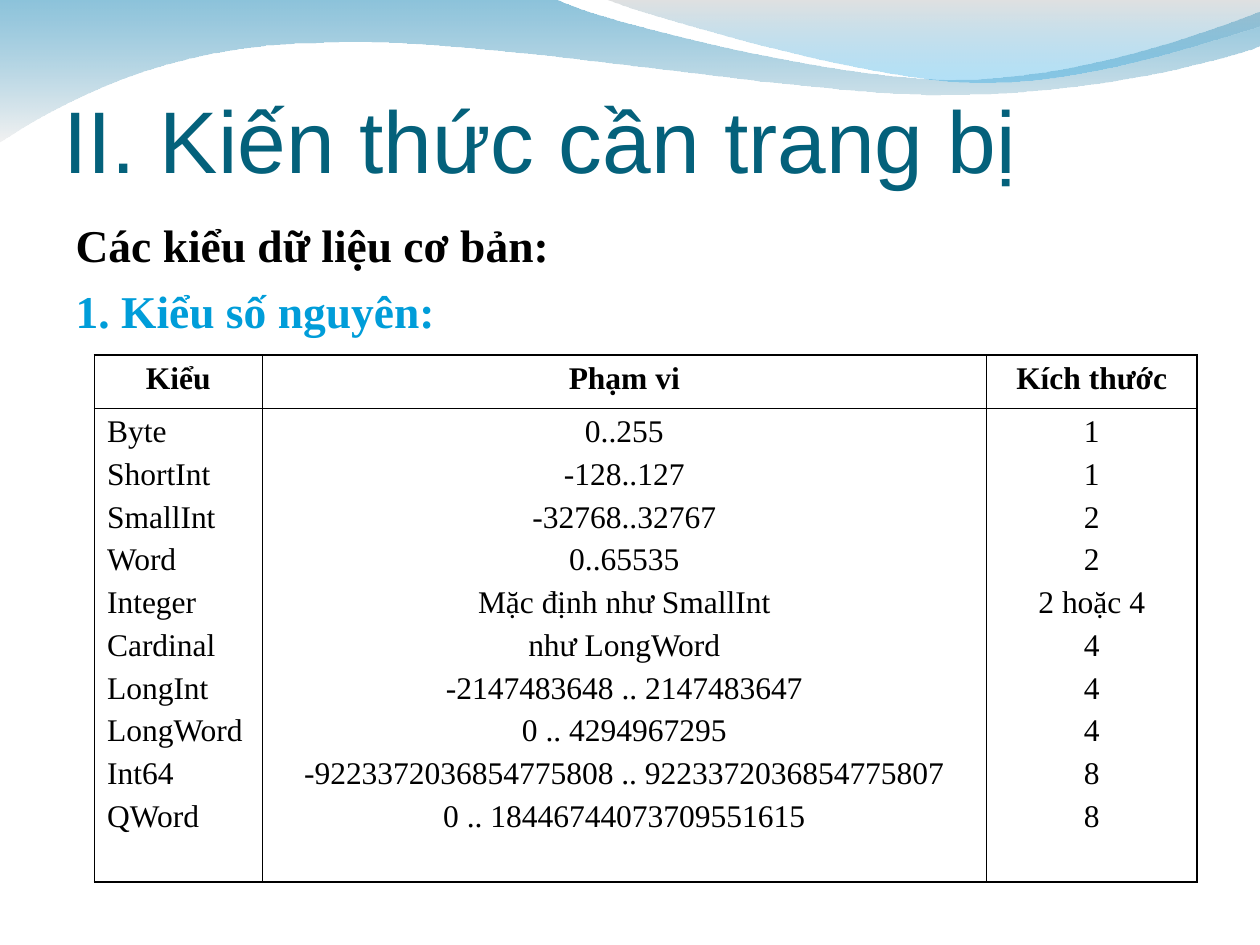
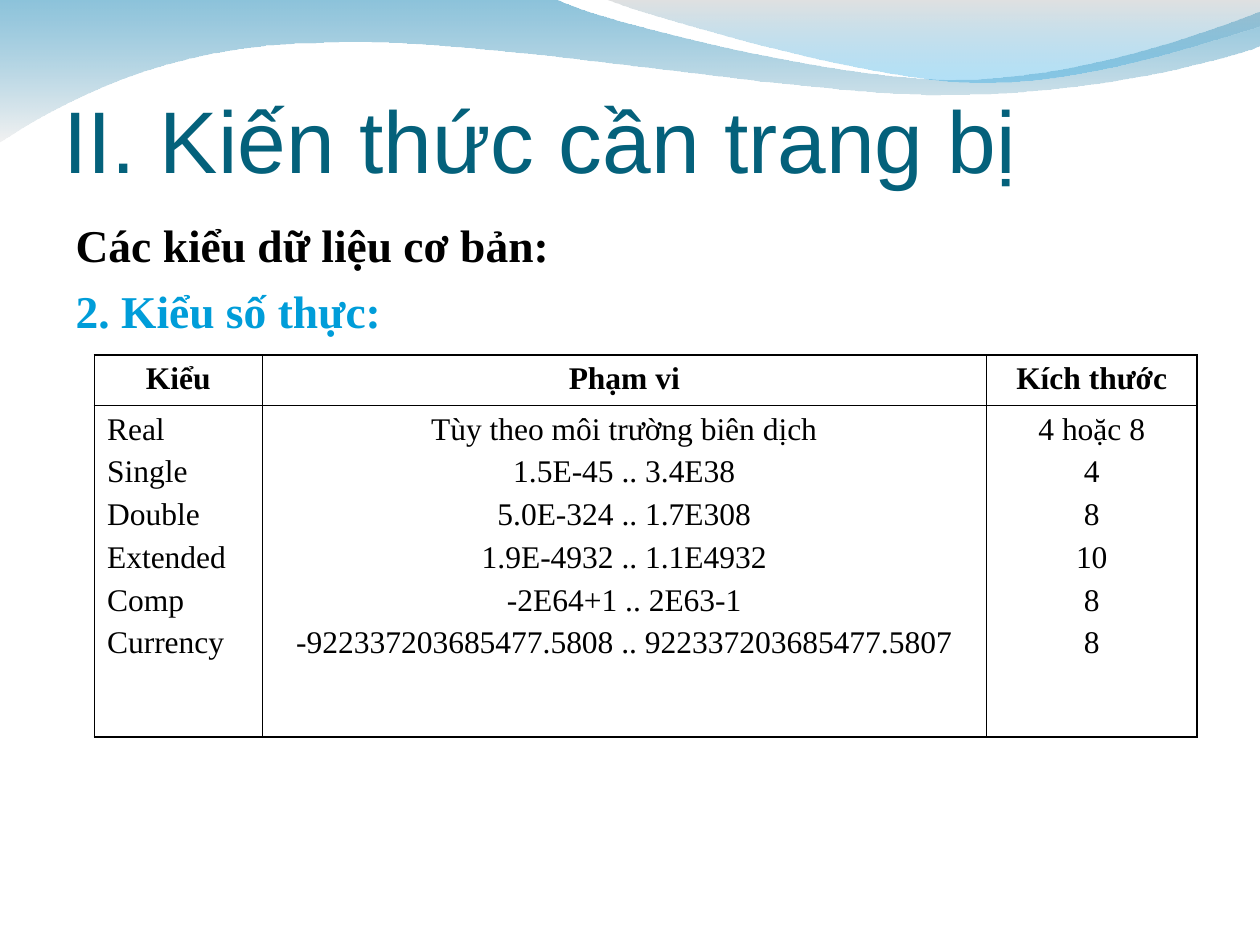
import pptx
import pptx.dml.color
import pptx.enum.text
import pptx.oxml
import pptx.oxml.ns
import pptx.util
from pptx.util import Inches

RGBColor = pptx.dml.color.RGBColor
Align = pptx.enum.text.PP_ALIGN

BLACK = RGBColor(0x00, 0x00, 0x00)
TITLE_TEAL = RGBColor(0x04, 0x61, 0x7B)
HEADING_BLUE = RGBColor(0x00, 0x9D, 0xD9)
WAVE_BLUE = RGBColor(0x00, 0x79, 0xAF)
WAVE_PALE = RGBColor(0xE7, 0xE7, 0xE7)
CREST_GRAY = RGBColor(0xBC, 0xBC, 0xBC)
CREST_BLUE = RGBColor(0x00, 0x9B, 0xE5)

TITLE = "II. Kiến thức cần trang bị"
TOPIC = "Các kiểu dữ liệu cơ bản:"
HEADER = ("Kiểu", "Phạm vi", "Kích thước")
COLUMN_WIDTHS = (1.33, 5.75, 1.67)
OUTER_BORDER, INNER_BORDER = 1.08, 0.45

# Outlines in inches: two numbers make a line, six make a Bézier curve.
WAVE = [
    (0, -0.01), (4.4, -0.01),
    (4.76, 0.17, 6.64, 0.63, 7.58, 0.63), (8.53, 0.63, 9.58, 0.26, 10, 0.09),
    (10.01, 0.36),
    (9.83, 0.44, 8.7, 0.76, 7.46, 0.75), (6.22, 0.75, 3.82, 0.28, 2.57, 0.34),
    (1.29, 0.35, 0.46, 0.83, -0.01, 1.13),
]
CREST = [
    (4.79, -0.01),
    (5.09, 0.11, 6.82, 0.62, 7.69, 0.65), (8.56, 0.69, 9.61, 0.32, 10, 0.21),
    (10, 0),
]

INTEGER_TYPES = [
    ("Byte", "0..255", "1"),
    ("ShortInt", "-128..127", "1"),
    ("SmallInt", "-32768..32767", "2"),
    ("Word", "0..65535", "2"),
    ("Integer", "Mặc định như SmallInt", "2 hoặc 4"),
    ("Cardinal", "như LongWord", "4"),
    ("LongInt", "-2147483648 .. 2147483647", "4"),
    ("LongWord", "0 .. 4294967295", "4"),
    ("Int64", "-9223372036854775808 .. 9223372036854775807", "8"),
    ("QWord", "0 .. 18446744073709551615", "8"),
]
REAL_TYPES = [
    ("Real", "Tùy theo môi trường biên dịch", "4 hoặc 8"),
    ("Single", "1.5E-45 .. 3.4E38", "4"),
    ("Double", "5.0E-324 .. 1.7E308", "8"),
    ("Extended", "1.9E-4932 .. 1.1E4932", "10"),
    ("Comp", "-2E64+1 .. 2E63-1", "8"),
    ("Currency", "-922337203685477.5808 .. 922337203685477.5807", "8"),
]


def make_element(tag, attributes="", content=""):
    namespace = pptx.oxml.ns.nsdecls("a")
    return pptx.oxml.parse_xml(f"<a:{tag} {namespace} {attributes}>{content}</a:{tag}>")


def bend_lines(shape, outline):
    """Turn the shape's straight segments into curves where the outline has them."""
    lines = list(shape.element.iter(pptx.oxml.ns.qn("a:lnTo")))
    for line, segment in zip(lines, outline[1:]):
        if len(segment) == 6:
            points = "".join(
                f'<a:pt x="{Inches(x) - shape.left}" y="{Inches(y) - shape.top}"/>'
                for x, y in zip(segment[::2], segment[1::2]))
            line.getparent().replace(line, make_element("cubicBezTo", content=points))


def set_border(cell, side, width):
    cell._tc.get_or_add_tcPr().append(make_element(
        f"ln{side}", f'w="{pptx.util.Pt(width)}"',
        f'<a:solidFill><a:srgbClr val="{BLACK}"/></a:solidFill>'))


class Deck:
    def __init__(self):
        self.presentation = pptx.Presentation()
        self.presentation.slide_width = Inches(10)
        self.presentation.slide_height = Inches(7.5)
        self.slide = None

    def add_slide(self):
        layout = self.presentation.slide_layouts[1]
        self.slide = self.presentation.slides.add_slide(layout)
        self.add_band(0, WAVE, (WAVE_BLUE, 45), (WAVE_PALE, 55))
        self.add_band(1, CREST, (CREST_GRAY, 45), (CREST_BLUE, 30))

    def add_band(self, depth, outline, *stops):
        """Draw a see-through gradient band behind the placeholders."""
        corners = [(Inches(segment[-2]), Inches(segment[-1])) for segment in outline]
        builder = self.slide.shapes.build_freeform(*corners[0])
        builder.add_line_segments(corners[1:], close=True)
        shape = builder.convert_to_shape()
        bend_lines(shape, outline)
        shape.shadow.inherit = False
        shape.line.fill.background()
        shape.fill.gradient()
        shape.fill.gradient_angle = 270
        for gradient_stop, (color, _) in zip(shape.fill.gradient_stops, stops):
            gradient_stop.color.rgb = color
        colors = list(shape.element.spPr.iter(pptx.oxml.ns.qn("a:srgbClr")))
        for color_element, (_, opacity) in zip(colors, stops):
            color_element.append(make_element("alpha", f'val="{opacity * 1000}"'))
        self.slide.shapes.element.insert(2 + depth, shape.element)

    def place(self, shape, left, top, width, height):
        shape.left, shape.top = Inches(left), Inches(top)
        shape.width, shape.height = Inches(width), Inches(height)
        shape.text_frame.auto_size = pptx.enum.text.MSO_AUTO_SIZE.NONE

    def style(self, paragraph, size, color, bold, font="Times New Roman",
              align=Align.LEFT, space_before=0):
        paragraph.alignment = align
        paragraph.space_before = pptx.util.Pt(space_before)
        for run in paragraph.runs:
            run.font.name = font
            run.font.size = pptx.util.Pt(size)
            run.font.bold = bold
            run.font.color.rgb = color

    def add_title(self, text):
        title = self.slide.shapes.title
        self.place(title, 0.5, 0.58, 9, 0.94)
        frame = title.text_frame
        frame.text = text
        frame.vertical_anchor = pptx.enum.text.MSO_ANCHOR.BOTTOM
        frame.margin_left = frame.margin_right = frame.margin_bottom = 0
        frame.margin_top = Inches(0.05)
        self.style(frame.paragraphs[0], 50, TITLE_TEAL, False, font="Arial")

    def add_headings(self, topic, heading):
        body = self.slide.placeholders[1]
        self.place(body, 0.5, 1.67, 9.08, 5.33)
        frame = body.text_frame
        frame.text = f"{topic}\n{heading}"
        for paragraph, color, gap in zip(frame.paragraphs, (BLACK, HEADING_BLUE), (0, 6.5)):
            properties = paragraph._p.get_or_add_pPr()
            properties.set("marL", str(Inches(0.3)))
            properties.set("indent", str(Inches(-0.3)))
            properties.append(make_element("buNone"))
            self.style(paragraph, 26, color, True, space_before=gap)

    def add_type_table(self, types, row_heights):
        """Add a header row over one tall row that lists all the types."""
        rows = [HEADER, ["\n".join(column) for column in zip(*types)]]
        table = self.slide.shapes.add_table(
            len(rows), len(HEADER), Inches(0.75), Inches(2.82),
            Inches(sum(COLUMN_WIDTHS)), Inches(sum(row_heights))).table
        table.first_row = table.horz_banding = False
        for column, width in zip(table.columns, COLUMN_WIDTHS):
            column.width = Inches(width)
        for row_index, texts in enumerate(rows):
            table.rows[row_index].height = Inches(row_heights[row_index])
            for column_index, text in enumerate(texts):
                cell = table.cell(row_index, column_index)
                self.fill_cell(cell, text, row_index == 0, column_index == 0)
                outer_sides = {
                    "L": column_index == 0, "R": column_index == len(HEADER) - 1,
                    "T": row_index == 0, "B": row_index == len(rows) - 1}
                for side, is_outer in outer_sides.items():
                    set_border(cell, side, OUTER_BORDER if is_outer else INNER_BORDER)
                cell.fill.background()

    def fill_cell(self, cell, text, is_header, is_first_column):
        cell.text_frame.text = text
        align = Align.LEFT if is_first_column and not is_header else Align.CENTER
        for index, paragraph in enumerate(cell.text_frame.paragraphs):
            self.style(paragraph, 18, BLACK, is_header, align=align,
                       space_before=4.5 if index else 0)


def main():
    deck = Deck()
    for heading, types, row_heights in (
            ("1. Kiểu số nguyên:", INTEGER_TYPES, (0.42, 3.76)),
            ("2. Kiểu số thực:", REAL_TYPES, (0.4, 2.63))):
        deck.add_slide()
        deck.add_title(TITLE)
        deck.add_headings(TOPIC, heading)
        deck.add_type_table(types, row_heights)
    deck.presentation.save("out.pptx")


if __name__ == "__main__":
    main()
